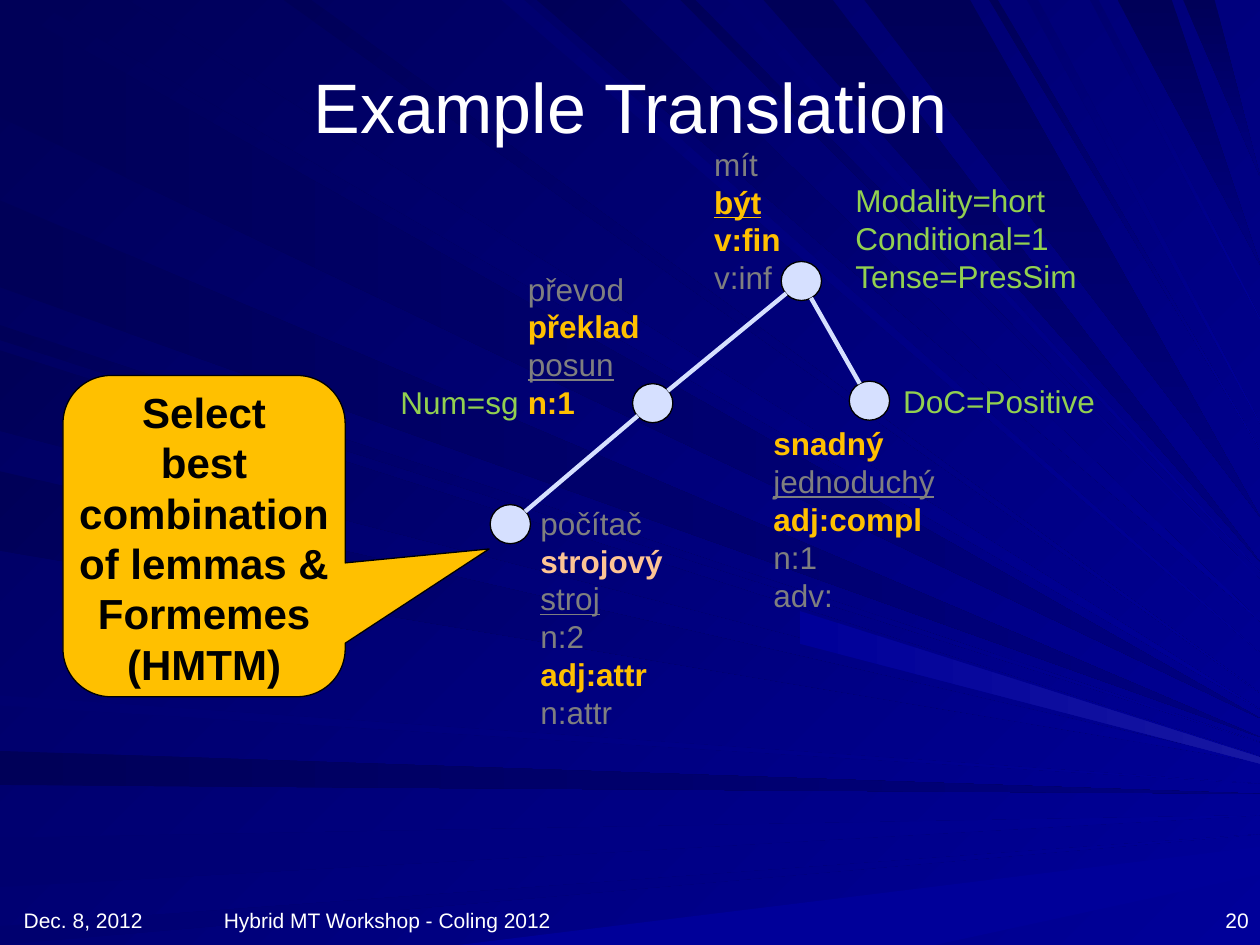
import math

import pptx
import pptx.dml.color
import pptx.enum.shapes
import pptx.enum.text
import pptx.oxml
import pptx.oxml.ns
import pptx.util

Inches = pptx.util.Inches
RGBColor = pptx.dml.color.RGBColor
PP_ALIGN = pptx.enum.text.PP_ALIGN
MSO_ANCHOR = pptx.enum.text.MSO_ANCHOR
MSO_AUTO_SIZE = pptx.enum.text.MSO_AUTO_SIZE
MSO_SHAPE = pptx.enum.shapes.MSO_SHAPE

WHITE = RGBColor.from_string("FFFFFF")
BLACK = RGBColor.from_string("000000")
GRAY = RGBColor.from_string("7F7F7F")
GOLD = RGBColor.from_string("FFC000")
PEACH = RGBColor.from_string("FEC494")
GREEN = RGBColor.from_string("92D050")
PALE_BLUE = RGBColor.from_string("D6E0FF")
MIDNIGHT = RGBColor.from_string("000058")
INDIGO = RGBColor.from_string("00006F")
NAVY = RGBColor.from_string("000080")
BLUE = RGBColor.from_string("000099")
LIGHT_BLUE = RGBColor.from_string("1717A2")
FONT = "Arial"
WIDTH, HEIGHT = 10, 7.5

# Rays run from a stretch of the left or top edge to a height on the right edge:
# start colour, end colour, clockwise angle, (stretch start, stretch end, tip height)
LEFT_RAYS = [
    (MIDNIGHT, NAVY, 0, [(0.02, 0.93, 5.7), (1.59, 2.28, 5.85), (5.96, 6.23, 6.3)]),
    (MIDNIGHT, BLUE, 45, [(2.58, 2.7, 5.89), (2.78, 3.42, 6), (3.74, 4.37, 6.05)]),
    (INDIGO, BLUE, 0, [(5.52, 5.6, 6.22), (6.65, 7.04, 6.47), (7.35, 7.5, 6.62)]),
]
TOP_RAYS = [
    (MIDNIGHT, BLUE, 45, [(0.26, 1.01, 5.63), (2.25, 2.47, 5.5), (4.26, 4.92, 4.93),
                          (5.4, 5.52, 4.6), (7.85, 7.92, 3.57)]),
    (INDIGO, BLUE, 45, [(3.98, 4.16, 5.18), (5.77, 5.88, 4.54), (8.15, 8.24, 3.36), (8.65, 8.72, 2.53)]),
    (MIDNIGHT, NAVY, 90, [(6.06, 6.61, 4.46), (6.86, 7.7, 4.1), (8.87, 9.3, 2.1), (9.39, 9.64, 1.4)]),
]
# Bright beams that widen towards the right or lower edge
BEAMS = [
    (BLUE, LIGHT_BLUE, 0, [(6.35, 4.85), (6.35, 5.11), (WIDTH, 6.06), (WIDTH, 6.01)]),
    (BLUE, BLUE, 0, [(3.64, HEIGHT), (WIDTH, 6.72), (WIDTH, 6.94), (7.42, HEIGHT)]),
]

# Tree: node centres, and edges as pairs of nodes
NODE_WIDTH, NODE_HEIGHT = 0.32, 0.31
MACHINE, TRANSLATION, BE, EASY = (4.05, 4.16), (5.18, 3.2), (6.36, 2.23), (6.9, 3.18)
EDGES = [(MACHINE, TRANSLATION), (TRANSLATION, BE), (EASY, BE)]

# Line styles of the labels: colour, bold, underline
OTHER = (GRAY, False, False)
BASELINE = (GRAY, False, True)
CHOSEN = (GOLD, True, False)
CHOSEN_BASELINE = (GOLD, True, True)
CHOSEN_PEACH = (PEACH, True, False)
FEATURE = (GREEN, False, False)
LABELS = [
    ((4.19, 3.95, 1.17), [("počítač", OTHER), ("strojový", CHOSEN_PEACH), ("stroj", BASELINE),
                          ("n:2", OTHER), ("adj:attr", CHOSEN), ("n:attr", OTHER)]),
    ((4.09, 2.09, 1.09), [("převod", OTHER), ("překlad", CHOSEN), ("posun", BASELINE), ("n:1", CHOSEN)]),
    ((5.57, 1.1, 0.73), [("mít", OTHER), ("být", CHOSEN_BASELINE), ("v:fin", CHOSEN), ("v:inf", OTHER)]),
    ((6.04, 3.32, 1.48), [("snadný", CHOSEN), ("jednoduchý", BASELINE), ("adj:compl", CHOSEN),
                          ("n:1", OTHER), ("adv:", OTHER)]),
    ((6.69, 1.39, 1.98), [("Modality=hort", FEATURE), ("Conditional=1", FEATURE), ("Tense=PresSim", FEATURE)]),
    ((7.07, 2.98, 1.72), [("DoC=Positive", FEATURE)]),
    ((3.08, 2.99, 1.14), [("Num=sg", FEATURE)]),
]
FOOTERS = [
    (0.09, 2.33, "Dec. 8, 2012", PP_ALIGN.LEFT),
    (1.49, 3.17, "Hybrid MT Workshop - Coling 2012", PP_ALIGN.CENTER),
    (7.68, 2.33, "20", PP_ALIGN.RIGHT),
]


def inches(values):
    return [Inches(value) for value in values]


def fill_gradient(fill, start, end, angle):
    fill.gradient()
    fill.gradient_angle = (360 - angle) % 360
    for stop, color in zip(fill.gradient_stops, (start, end)):
        stop.color.rgb = color


def write_lines(text_frame, lines, size, align=PP_ALIGN.LEFT):
    for index, (text, (color, bold, underline)) in enumerate(lines):
        paragraph = text_frame.add_paragraph() if index else text_frame.paragraphs[0]
        paragraph.alignment = align
        run = paragraph.add_run()
        run.text = text
        font = run.font
        font.name, font.size = FONT, pptx.util.Pt(size)
        font.bold, font.underline, font.color.rgb = bold, underline, color


def style_shape(shape, color):
    shape.shadow.inherit = False
    shape.fill.solid()
    shape.fill.fore_color.rgb = color
    shape.line.color.rgb = BLACK
    shape.line.width = pptx.util.Pt(0.75)


def add_ray(group, start, end, angle, corners):
    points = [inches(corner) for corner in corners]
    builder = group.shapes.build_freeform(*points[0])
    builder.add_line_segments(points[1:], close=True)
    ray = builder.convert_to_shape()
    ray.shadow.inherit = False
    ray.line.fill.background()
    fill_gradient(ray.fill, start, end, angle)


def add_backdrop(slide):
    fill_gradient(slide.background.fill, MIDNIGHT, BLUE, 45)
    group = slide.shapes.add_group_shape()
    for start, end, angle, stretches in LEFT_RAYS:
        for top, bottom, tip in stretches:
            add_ray(group, start, end, angle, [(0, top), (WIDTH, tip), (0, bottom)])
    for start, end, angle, stretches in TOP_RAYS:
        for left, right, tip in stretches:
            add_ray(group, start, end, angle, [(left, 0), (WIDTH, tip), (right, 0)])
    for beam in BEAMS:
        add_ray(group, *beam)
    # Keep the rays behind the title
    slide.shapes.title.element.addprevious(group.element)


def add_title(slide, box):
    title = slide.shapes.title
    title.left, title.top, title.width, title.height = inches(box)
    title.text_frame.vertical_anchor = MSO_ANCHOR.MIDDLE
    write_lines(title.text_frame, [("Example Translation", (WHITE, False, False))], 40, PP_ALIGN.CENTER)


def add_tree(slide):
    for x, y in (MACHINE, TRANSLATION, BE, EASY):
        box = (x - NODE_WIDTH / 2, y - NODE_HEIGHT / 2, NODE_WIDTH, NODE_HEIGHT)
        style_shape(slide.shapes.add_shape(MSO_SHAPE.OVAL, *inches(box)), PALE_BLUE)
    for start, end in EDGES:
        # Each edge stops at the rims of its two nodes
        trim = NODE_HEIGHT / 2 / math.dist(start, end)
        step_x, step_y = (trim * (b - a) for a, b in zip(start, end))
        line = (start[0] + step_x, start[1] + step_y, end[0] - step_x, end[1] - step_y)
        connector = slide.shapes.add_connector(pptx.enum.shapes.MSO_CONNECTOR.STRAIGHT, *inches(line))
        connector.line.color.rgb = PALE_BLUE
        connector.line.width = pptx.util.Pt(2.5)
        properties = connector.element.find(pptx.oxml.ns.qn("p:spPr"))
        properties.append(pptx.oxml.parse_xml(f'<a:effectLst {pptx.oxml.ns.nsdecls("a")}/>'))


def add_callout(slide, box):
    callout = slide.shapes.add_shape(MSO_SHAPE.ROUNDED_RECTANGULAR_CALLOUT, *inches(box))
    style_shape(callout, GOLD)
    for index, value in enumerate((1.01, 0.04, 0.17)):
        callout.adjustments[index] = value
    frame = callout.text_frame
    frame.word_wrap = False
    frame.margin_top = Inches(0.07)
    frame.vertical_anchor = MSO_ANCHOR.MIDDLE
    words = ["Select", "best", "combination", "of lemmas &", "Formemes", "(HMTM)"]
    write_lines(frame, [(word, (BLACK, True, False)) for word in words], 24, PP_ALIGN.CENTER)


def add_label(slide, place, lines):
    height = 0.1 + 0.3 * len(lines)
    frame = slide.shapes.add_textbox(*inches(place), Inches(height)).text_frame
    frame.word_wrap = False
    frame.auto_size = MSO_AUTO_SIZE.SHAPE_TO_FIT_TEXT
    write_lines(frame, lines, 18)


def add_footer(slide, left, width, text, align):
    frame = slide.shapes.add_textbox(*inches((left, 6.95, width, 0.5))).text_frame
    frame.word_wrap = True
    frame.vertical_anchor = MSO_ANCHOR.BOTTOM
    write_lines(frame, [(text, (WHITE, False, False))], 12, align)


def main():
    presentation = pptx.Presentation()
    presentation.slide_width, presentation.slide_height = Inches(WIDTH), Inches(HEIGHT)
    slide = presentation.slides.add_slide(presentation.slide_layouts[5])
    add_backdrop(slide)
    add_title(slide, (1.3, 0.21, 7.41, 1.25))
    add_tree(slide)
    add_callout(slide, (0.5, 2.98, 2.24, 2.55))
    for place, lines in LABELS:
        add_label(slide, place, lines)
    for footer in FOOTERS:
        add_footer(slide, *footer)
    presentation.save("out.pptx")


if __name__ == "__main__":
    main()
